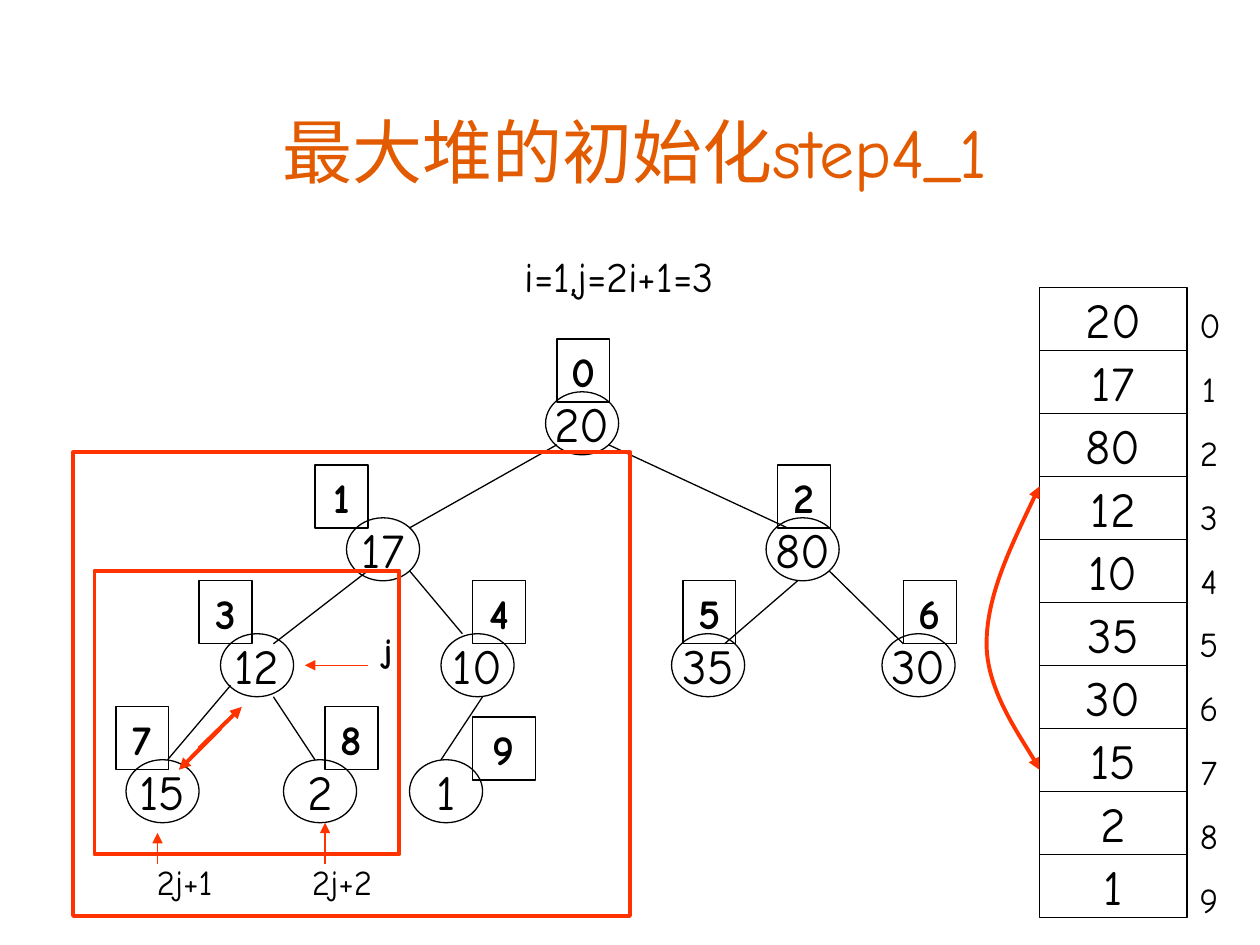
from lxml import etree
from pptx import Presentation
from pptx.dml.color import RGBColor
from pptx.enum.shapes import MSO_CONNECTOR, MSO_SHAPE
from pptx.enum.text import MSO_ANCHOR, PP_ALIGN
from pptx.oxml.ns import qn
from pptx.util import Inches, Pt

BLACK = RGBColor(0x00, 0x00, 0x00)
RED = RGBColor(0xFF, 0x33, 0x00)
ORANGE = RGBColor(0xE2, 0x5B, 0x00)

HEAP = [20, 17, 80, 12, 10, 35, 30, 15, 2, 1]
NODE_LEFTS = [4.33, 2.75, 6.08, 1.75, 3.5, 5.33, 7, 1, 2.25, 3.25]
LEVEL_TOPS = [3.11, 4.11, 5.03, 6.03]
NODE_WIDTH, ROW_HEIGHT = 0.58, 0.5
BADGE_LEFTS = [4.42, 2.5, 6.17, 1.58, 3.75, 5.42, 7.17, 0.92, 2.58]
BADGE_WIDTH, BADGE_RISE = 0.42, 0.42
EDGES = [
    ((4.42, 3.53), (3.25, 4.19)), ((2.92, 4.53), (2.17, 5.11)),
    ((1.83, 5.44), (1.33, 6.03)), ((3.25, 4.53), (3.67, 5.03)),
    ((2.17, 5.53), (2.5, 6.03)), ((3.83, 5.53), (3.5, 6.03)),
    ((4.83, 3.53), (6.25, 4.19)), ((6.33, 4.61), (5.75, 5.11)),
    ((6.58, 4.53), (7.17, 5.11)),
]
POINTERS = [
    ((2.92, 5.28), (2.42, 5.28)),
    ((1.25, 6.86), (1.25, 6.61)),
    ((2.58, 6.86), (2.58, 6.53)),
]
SWAP_ARROWS = [((1.58, 5.94), (1.92, 5.61)), ((1.75, 5.78), (1.42, 6.11))]
SWAP_CURVE = [(8.25, 3.86), (8.04, 4.3), (7.83, 4.73), (7.83, 5.11),
              (7.83, 5.48), (8.18, 5.96), (8.25, 6.11)]
ARRAY_LEFT, ARRAY_TOP, ARRAY_WIDTH = 8.25, 2.28, 1.17


class HeapSlide:
    font = "Comic Neue"
    thin, thick = Pt(0.75), Pt(2.25)

    def __init__(self, slide):
        self.slide = slide

    def set_text(self, shape, text, size, color=BLACK, bold=False,
                 anchor=MSO_ANCHOR.TOP, wrap=True, gap=0):
        frame = shape.text_frame
        frame.text = text
        frame.word_wrap = wrap
        frame.vertical_anchor = anchor
        for index, paragraph in enumerate(frame.paragraphs):
            paragraph.alignment = PP_ALIGN.CENTER
            if index:
                paragraph.space_before = Pt(gap)
            for run in paragraph.runs:
                run.font.name = self.font
                run.font.size = Pt(size)
                run.font.bold = bold
                run.font.color.rgb = color

    def label(self, box, text, size, **style):
        self.set_text(self.slide.shapes.add_textbox(*map(Inches, box)), text, size, **style)

    def outline(self, kind, box, color=BLACK, width=thin):
        shape = self.slide.shapes.add_shape(kind, *map(Inches, box))
        shape.shadow.inherit = False
        shape.fill.background()
        shape.line.color.rgb = color
        shape.line.width = width
        return shape

    def value(self, kind, box, number):
        self.set_text(self.outline(kind, box), str(number), 28,
                      anchor=MSO_ANCHOR.MIDDLE, wrap=False)

    def badge(self, box, index):
        self.set_text(self.outline(MSO_SHAPE.RECTANGLE, box), str(index), 24, bold=True)

    def frame(self, box):
        self.outline(MSO_SHAPE.RECTANGLE, box, RED, self.thick)

    def add_arrowheads(self, shape, *ends):
        line = shape.element.spPr.find(qn("a:ln"))
        for end in ends:
            etree.SubElement(line, qn(f"a:{end}"), type="triangle")

    def line(self, start, end, color=BLACK, width=thin, arrow=False):
        connector = self.slide.shapes.add_connector(
            MSO_CONNECTOR.STRAIGHT, *map(Inches, start + end))
        connector.line.color.rgb = color
        connector.line.width = width
        if arrow:
            self.add_arrowheads(connector, "tailEnd")
        etree.SubElement(connector.element.spPr, qn("a:effectLst"))

    def curve(self, points):
        """Draw a double-headed Bezier: a start, then three points per segment."""
        start, *rest = [tuple(map(Inches, point)) for point in points]
        builder = self.slide.shapes.build_freeform(*start)
        builder.add_line_segments(rest, close=False)
        shape = builder.convert_to_shape()
        segments = list(shape.element.iter(qn("a:lnTo")))
        for first in range(0, len(segments), 3):
            group = segments[first:first + 3]
            bezier = etree.Element(qn("a:cubicBezTo"))
            group[0].addprevious(bezier)
            for segment in group:
                bezier.append(segment[0])
                segment.getparent().remove(segment)
        shape.shadow.inherit = False
        shape.fill.background()
        shape.line.color.rgb = RED
        shape.line.width = self.thick
        self.add_arrowheads(shape, "headEnd", "tailEnd")


def draw_tree(heap_slide):
    for index, (number, left) in enumerate(zip(HEAP, NODE_LEFTS)):
        top = LEVEL_TOPS[(index + 1).bit_length() - 1]
        heap_slide.value(MSO_SHAPE.FLOWCHART_CONNECTOR,
                         (left, top, NODE_WIDTH, ROW_HEIGHT), number)
    for start, end in EDGES:
        heap_slide.line(start, end)
    for index, left in enumerate(BADGE_LEFTS):
        top = LEVEL_TOPS[(index + 1).bit_length() - 1] - BADGE_RISE
        heap_slide.badge((left, top, BADGE_WIDTH, ROW_HEIGHT), index)
    heap_slide.badge((3.75, 5.69, 0.5, ROW_HEIGHT), 9)


def draw_array(heap_slide):
    for index, number in enumerate(HEAP):
        top = ARRAY_TOP + index * ROW_HEIGHT
        heap_slide.value(MSO_SHAPE.FLOWCHART_PROCESS,
                         (ARRAY_LEFT, top, ARRAY_WIDTH, ROW_HEIGHT), number)
    indices = "\n".join(str(index) for index in range(len(HEAP)))
    heap_slide.label((9.42, 2.36, 0.35, 5), indices, 20, gap=12.5)


def main():
    presentation = Presentation()
    presentation.slide_width, presentation.slide_height = Inches(10), Inches(7.5)
    heap_slide = HeapSlide(presentation.slides.add_slide(presentation.slide_layouts[6]))

    heap_slide.label((0.75, 0.75, 8.58, 0.83), "最大堆的初始化step4_1", 40,
                     color=ORANGE, anchor=MSO_ANCHOR.BOTTOM)
    heap_slide.label((0.5, 1.94, 8.83, 0.5), "i=1,j=2i+1=3", 24)
    draw_tree(heap_slide)
    heap_slide.frame((0.58, 3.59, 4.42, 3.68))
    draw_array(heap_slide)

    heap_slide.label((2.83, 4.94, 0.5, 0.44), "j", 20, bold=True)
    for left, text in ((1, "2j+1"), (2.25, "2j+2")):
        heap_slide.label((left, 6.78, 0.93, 0.44), text, 20)
    for start, end in POINTERS:
        heap_slide.line(start, end, RED, arrow=True)
    heap_slide.frame((0.75, 4.53, 2.42, 2.25))
    for start, end in SWAP_ARROWS:
        heap_slide.line(start, end, RED, heap_slide.thick, arrow=True)
    heap_slide.curve(SWAP_CURVE)

    presentation.save("out.pptx")


if __name__ == "__main__":
    main()
